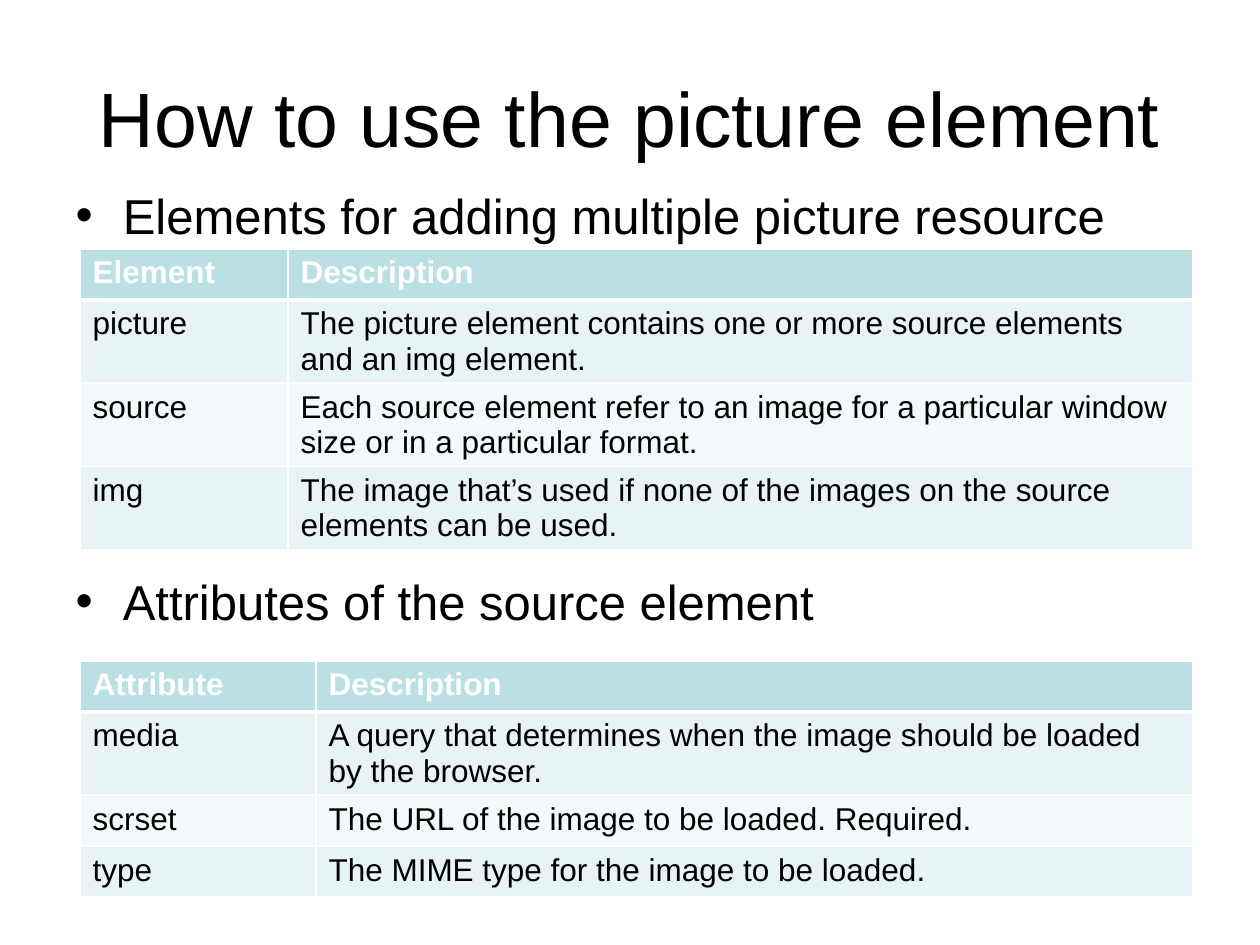
from dataclasses import dataclass

from lxml.etree import SubElement
from pptx import Presentation
from pptx.dml.color import RGBColor as Rgb
from pptx.enum.text import MSO_AUTO_SIZE as AutoSize, MSO_ANCHOR as Anchor, PP_ALIGN as Align
from pptx.oxml.ns import qn
from pptx.util import Pt

EMU_PER_PX = 914400 / 126
FONT = "Arial"
COLORS = {
    "text": "000000",
    "header_text": "FFFFFF",
    "border": "FFFFFF",
    "header": "BBE0E3",
    "odd_row": "E7F3F4",
    "even_row": "F3F9FA",
}


@dataclass(frozen=True)
class Box:
    left: int
    top: int
    width: int
    height: int


@dataclass(frozen=True)
class Glossary:
    left: int
    top: int
    columns: tuple[int, ...]
    heights: tuple[int, ...]
    rows: tuple[tuple[str, str], ...]


ELEMENTS = Glossary(80, 249, (208, 905), (51, 83, 83, 83), (
    ("Element", "Description"),
    ("picture", "The picture element contains one or more source elements and an img element."),
    ("source", "Each source element refer to an image for a particular window size or in a particular format."),
    ("img", "The image that’s used if none of the images on the source elements can be used."),
))
ATTRIBUTES = Glossary(80, 661, (236, 877), (51, 83, 51, 51), (
    ("Attribute", "Description"),
    ("media", "A query that determines when the image should be loaded by the browser."),
    ("scrset", "The URL of the image to be loaded. Required."),
    ("type", "The MIME type for the image to be loaded."),
))
TOPICS = (
    ("Elements for adding multiple picture resource", 2.5),
    ("Attributes of the source element", 187),
)


def px(length: int) -> int:
    return round(length * EMU_PER_PX)


def format_runs(paragraph, size: int, color: str, bold: bool = False) -> None:
    for run in paragraph.runs:
        run.font.name = FONT
        run.font.size = Pt(size)
        run.font.bold = bold
        run.font.color.rgb = Rgb.from_string(COLORS[color])


def place(placeholder, box: Box) -> None:
    placeholder.left, placeholder.top = px(box.left), px(box.top)
    placeholder.width, placeholder.height = px(box.width), px(box.height)
    placeholder.text_frame.auto_size = AutoSize.NONE


def add_borders(cell, bottom_width: int) -> None:
    properties = cell._tc.get_or_add_tcPr()
    widths = {"lnL": 1, "lnR": 1, "lnT": 1, "lnB": bottom_width}
    for position, (edge, width) in enumerate(widths.items()):
        line = SubElement(properties, qn(f"a:{edge}"), w=str(Pt(width)))
        fill = SubElement(line, qn("a:solidFill"))
        SubElement(fill, qn("a:srgbClr"), val=COLORS["border"])
        properties.insert(position, line)


def fill_cell(cell, wording: str, row: int) -> None:
    is_header = row == 0
    cell.text_frame.text = wording
    format_runs(cell.text_frame.paragraphs[0], 18,
                "header_text" if is_header else "text", is_header)
    band = "header" if is_header else "odd_row" if row % 2 else "even_row"
    cell.fill.solid()
    cell.fill.fore_color.rgb = Rgb.from_string(COLORS[band])
    add_borders(cell, 3 if is_header else 1)


def add_glossary(slide, glossary: Glossary) -> None:
    table = slide.shapes.add_table(
        len(glossary.rows), len(glossary.columns),
        px(glossary.left), px(glossary.top),
        px(sum(glossary.columns)), px(sum(glossary.heights))).table
    for column, width in zip(table.columns, glossary.columns):
        column.width = px(width)
    for row, (height, entry) in enumerate(zip(glossary.heights, glossary.rows)):
        table.rows[row].height = px(height)
        for column, wording in enumerate(entry):
            fill_cell(table.cell(row, column), wording, row)


def add_heading(title) -> None:
    place(title, Box(63, 38, 1134, 158))
    title.text_frame.text = "How to use the picture element"
    title.text_frame.vertical_anchor = Anchor.MIDDLE
    heading = title.text_frame.paragraphs[0]
    heading.alignment = Align.CENTER
    format_runs(heading, 44, "text")


def add_topics(body) -> None:
    place(body, Box(63, 179, 1134, 624))
    body.text_frame.text = "\n".join(wording for wording, _ in TOPICS)
    for topic, (_, gap) in zip(body.text_frame.paragraphs, TOPICS):
        topic.space_before = Pt(gap)
        format_runs(topic, 28, "text")


def main() -> None:
    deck = Presentation()
    deck.slide_width, deck.slide_height = px(1260), px(945)
    slide = deck.slides.add_slide(deck.slide_layouts[1])
    add_heading(slide.shapes.title)
    add_topics(slide.placeholders[1])
    for glossary in (ELEMENTS, ATTRIBUTES):
        add_glossary(slide, glossary)
    deck.save("out.pptx")


if __name__ == "__main__":
    main()
